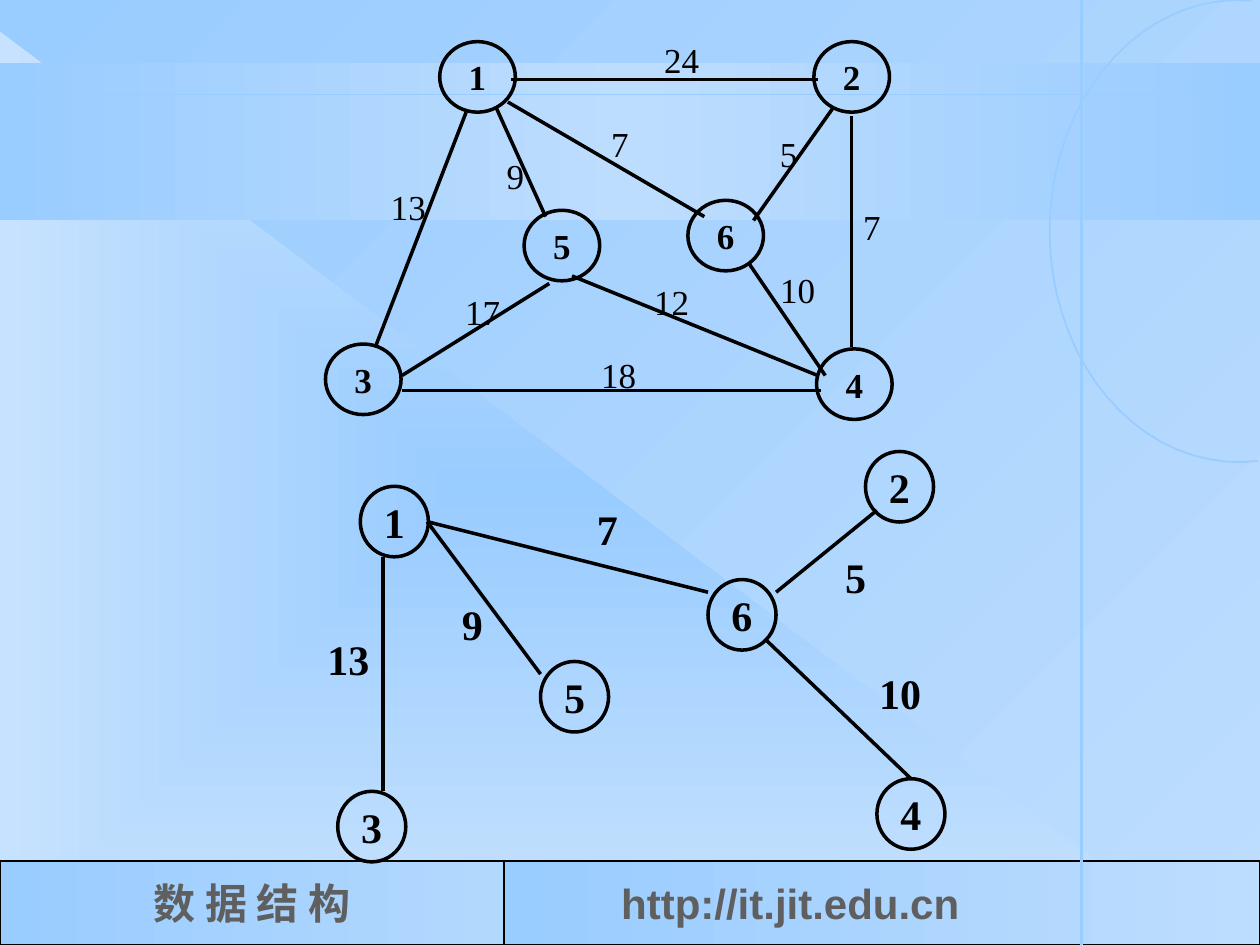
from math import cos, radians, sin

from lxml import etree
from pptx import Presentation
from pptx.dml.color import RGBColor
from pptx.enum.shapes import MSO_CONNECTOR, MSO_SHAPE
from pptx.enum.text import MSO_ANCHOR, PP_ALIGN
from pptx.oxml.ns import qn
from pptx.util import Pt

BLACK = RGBColor(0x00, 0x00, 0x00)
GREY = RGBColor(0x5F, 0x5F, 0x5F)
SKY = RGBColor(0x99, 0xCC, 0xFF)
PALE = RGBColor(0xBD, 0xDD, 0xFE)
MIST = RGBColor(0xB3, 0xD8, 0xFE)
ICE = RGBColor(0xC7, 0xE2, 0xFE)

SERIF, SANS = "Times New Roman", "Arial"
WIDTH, HEIGHT = 720, 540
NODE_HEIGHT = 40.3

# Node corners, and edges as (weight, start, end, label centre), relative to the box
NETWORK_NODES = {
    "1": (65.3, 5.8), "6": (207.1, 96.5), "5": (113.5, 102.2),
    "4": (280.6, 181.4), "3": (0, 178.6), "2": (279.1, 5.8),
}
NETWORK_EDGES = [
    ("24", (106.3, 27.4), (281.3, 27.4), (203.5, 15.8)),
    ("13", (80.4, 46.1), (28.6, 180), (47.3, 100.1)),
    ("9", (97.7, 43.9), (125.8, 105.8), (108.5, 82.1)),
    ("18", (43.7, 205.2), (283.4, 205.2), (167.5, 195.8)),
    ("17", (127.9, 144), (43.7, 196.6), (89.8, 159.8)),
    ("7", (104.2, 40.3), (216.5, 105.8), (168.2, 64.1)),
    ("7", (300.7, 48.2), (300.7, 180), (312.2, 111.6)),
    ("5", (289.9, 43.9), (244.6, 108), (264.7, 69.8)),
    ("10", (242.4, 133.2), (285.6, 196.6), (269.8, 147.6)),
    ("12", (140.9, 139.7), (281.3, 196.6), (197.8, 154.1)),
]
TREE_NODES = {
    "1": (25.9, 19.9), "5": (128.9, 120), "6": (224.6, 73.2),
    "4": (321.1, 187), "3": (13, 194.2), "2": (314.6, 0),
}
TREE_EDGES = [
    ("5", (321.1, 33.6), (263.5, 80.4), (308.9, 71.8)),
    ("7", (64.1, 40.1), (224.6, 80.4), (167, 44.4)),
    ("9", (64.1, 40.1), (128.9, 127.2), (90, 98.4)),
    ("10", (257, 107), (340.6, 187), (334.4, 138)),
    ("13", (38.9, 60.2), (38.9, 194.2), (19.1, 118.6)),
]


def set_gradient(element, fill, colors, angle=None):
    """Spread the colours evenly at a clockwise angle, or outwards from the centre."""
    fill.gradient()
    grad = next(element.iter(qn("a:gradFill")))
    for child in list(grad):
        grad.remove(child)
    stops = etree.SubElement(grad, qn("a:gsLst"))
    for i, color in enumerate(colors):
        stop = etree.SubElement(stops, qn("a:gs"), pos=str(100000 * i // (len(colors) - 1)))
        etree.SubElement(stop, qn("a:srgbClr"), val=str(color))
    if angle is None:
        rect = etree.SubElement(grad, qn("a:path"), path="rect")
        etree.SubElement(rect, qn("a:fillToRect"), l="50000", t="50000", r="50000", b="50000")
    else:
        etree.SubElement(grad, qn("a:lin"), ang=str(angle * 60000), scaled="0")


def add_panel(shapes, kind, box, colors, angle=None):
    sp = shapes.add_shape(kind, *map(Pt, box))
    sp.shadow.inherit = False
    set_gradient(sp._element, sp.fill, colors, angle)
    sp.line.fill.background()
    return sp


def add_line(shapes, start, end, color, width):
    line = shapes.add_connector(MSO_CONNECTOR.STRAIGHT, *map(Pt, (*start, *end)))
    line.line.color.rgb = color
    line.line.width = Pt(width)
    etree.SubElement(line._element.spPr, qn("a:effectLst"))


def set_text(sp, text, size, color=BLACK, bold=True, font=SERIF,
             align=PP_ALIGN.CENTER, wrap=False):
    tf = sp.text_frame
    tf.text = text
    tf.word_wrap = wrap
    tf.vertical_anchor = MSO_ANCHOR.MIDDLE
    p = tf.paragraphs[0]
    p.alignment = align
    f = p.runs[0].font
    f.name, f.size, f.bold = font, Pt(size), bold
    f.color.rgb = color


def add_backdrop(slide, left, top, width, height):
    shapes = slide.shapes
    set_gradient(slide._element, slide.background.fill, (PALE, SKY), 225)
    add_panel(shapes, MSO_SHAPE.RIGHT_TRIANGLE,
              (left, top + 18, width - 30, height - 18), (SKY, ICE))
    add_panel(shapes, MSO_SHAPE.RECTANGLE, (left, top + 36, width, 90), (SKY, PALE, SKY), 180)


def add_footer(shapes, left, top, width, height):
    split = width * 0.4
    course = add_panel(shapes, MSO_SHAPE.RECTANGLE, (left, top, split, height), (MIST, SKY), 180)
    set_text(course, "数 据 结 构", 24, GREY)
    site = add_panel(shapes, MSO_SHAPE.RECTANGLE,
                     (left + split, top, width - split, height), (SKY, PALE), 0)
    set_text(site, "http://it.jit.edu.cn", 24, GREY, font=SANS, align=PP_ALIGN.LEFT, wrap=True)
    site.text_frame.margin_left = Pt(67)
    for cell in (course, site):
        cell.line.color.rgb = BLACK
        cell.line.width = Pt(1.5)


def add_guides(shapes, left, top, width, height):
    add_line(shapes, (left, top + 54), (left + width, top + 54), SKY, 1)
    add_line(shapes, (left + 618, top), (left + 618, top + height), SKY, 1.5)
    # Open arc ending at the right edge
    cx, cy, rx, ry = left + 707.8, top + 132.1, 108, 132
    points = [(Pt(cx + rx * cos(radians(a))), Pt(cy - ry * sin(radians(a))))
              for a in range(86, 277, 5)]
    builder = shapes.build_freeform(*points[0])
    builder.add_line_segments(points[1:], close=False)
    arc = builder.convert_to_shape()
    arc.shadow.inherit = False
    arc.fill.background()
    arc.line.color.rgb = SKY
    arc.line.width = Pt(1)


def add_graph(shapes, left, top, nodes, edges, node_width, size, bold_weights):
    def place(point):
        return left + point[0], top + point[1]

    for name, corner in nodes.items():
        node = shapes.add_shape(MSO_SHAPE.OVAL, *map(Pt, (*place(corner), node_width, NODE_HEIGHT)))
        node.shadow.inherit = False
        node.fill.background()
        node.line.color.rgb = BLACK
        node.line.width = Pt(2)
        set_text(node, name, size)
    for weight, start, end, center in edges:
        add_line(shapes, place(start), place(end), BLACK, 2)
        x, y = place(center)
        w, h = len(weight) * size / 2 + 14.4, size * 1.2 + 7.2
        label = shapes.add_textbox(*map(Pt, (x - w / 2, y - h / 2, w, h)))
        set_text(label, weight, size, bold=bold_weights)


def main():
    prs = Presentation()
    prs.slide_width, prs.slide_height = Pt(WIDTH), Pt(HEIGHT)
    slide = prs.slides.add_slide(prs.slide_layouts[6])
    shapes = slide.shapes
    add_backdrop(slide, 0, 0, WIDTH, HEIGHT)
    add_footer(shapes, 0, HEIGHT - 48, WIDTH, 48)
    add_guides(shapes, 0, 0, WIDTH, HEIGHT)
    # Weighted network, and below it its minimum spanning tree
    add_graph(shapes, 186, 18, NETWORK_NODES, NETWORK_EDGES, 43.2, 20, False)
    tree = shapes.add_group_shape()
    add_graph(tree.shapes, 180, 258, TREE_NODES, TREE_EDGES, 38.9, 24, True)
    prs.save("out.pptx")


if __name__ == "__main__":
    main()
